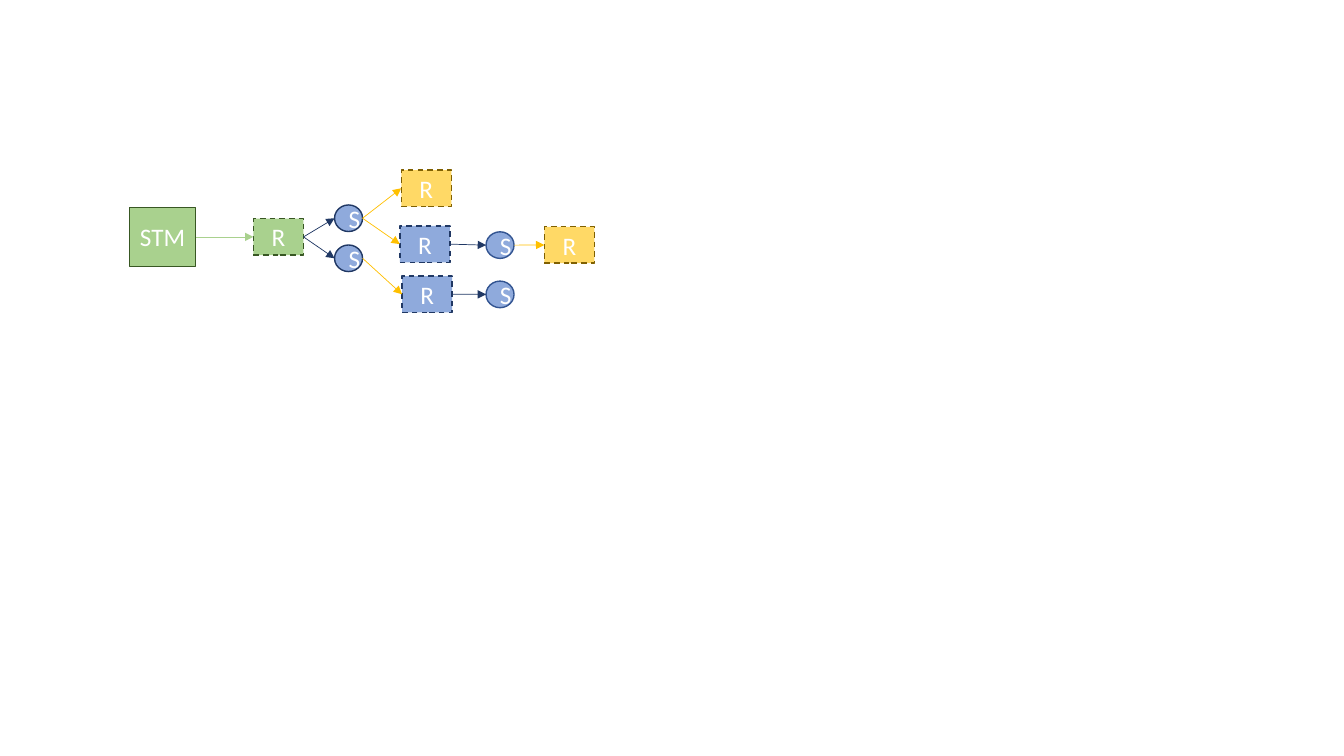
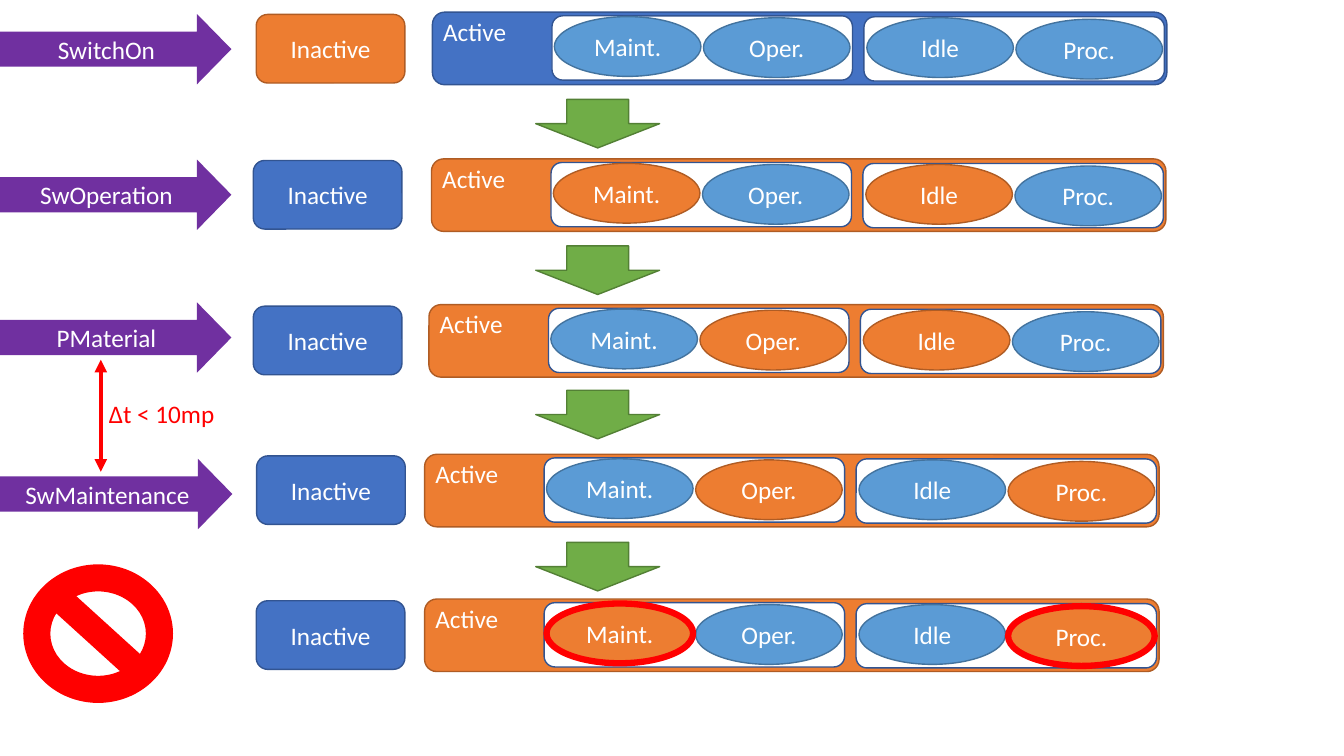
from lxml import etree
from pptx import Presentation
from pptx import util as u
from pptx.dml import color
from pptx.enum import dml, shapes, text
from pptx.oxml import ns

Pt = u.Pt
KIND = shapes.MSO_SHAPE
FONT = "Calibri"
HEX = {
    "white": "FFFFFF", "red": "FF0000", "purple": "7030A0",
    "blue": "4472C4", "navy": "325491", "sky": "5B9BD5", "steel": "43739E",
    "orange": "ED7D31", "rust": "AF5C24", "green": "70AD47", "moss": "538035",
    "mint": "A9D18E", "pine": "385723", "pale": "8FAADC", "ink": "203864",
    "sand": "FFD966", "olive": "806000", "gold": "FFC000",
}
EDGE = {"blue": "navy", "sky": "steel", "orange": "rust"}


def rgb(name):
    """Return the named colour."""
    return color.RGBColor.from_string(HEX[name])


def write(frame, words, tint="white", size=18, align="CENTER", anchor="MIDDLE", wrap=True):
    """Fill a text frame with one formatted paragraph."""
    frame.word_wrap = wrap
    frame.vertical_anchor = getattr(text.MSO_ANCHOR, anchor)
    para = frame.paragraphs[0]
    para.alignment = getattr(text.PP_ALIGN, align)
    run = para.add_run()
    run.text = words
    run.font.name, run.font.size = FONT, Pt(size)
    run.font.color.rgb = rgb(tint)


def draw(host, kind, box, fill, edge=None, words="", width=1, dash=False):
    """Add a preset shape with its fill, outline and words."""
    shape = host.add_shape(kind, *map(Pt, box))
    shape.shadow.inherit = False
    shape.fill.solid()
    shape.fill.fore_color.rgb = rgb(fill)
    if edge:
        shape.line.color.rgb = rgb(edge)
        shape.line.width = Pt(width)
        if dash:
            shape.line.dash_style = dml.MSO_LINE.DASH
    else:
        shape.line.fill.background()
    if words:
        write(shape.text_frame, words)
    return shape


def note(host, box, words, **style):
    """Add a text box that grows with its words."""
    frame = host.add_textbox(*map(Pt, box)).text_frame
    write(frame, words, align="LEFT", anchor="TOP", **style)
    frame.auto_size = text.MSO_AUTO_SIZE.SHAPE_TO_FIT_TEXT


def link(host, start, end, tint, width=0.5, ends=("tailEnd",)):
    """Add a straight arrow between two points."""
    line = host.add_connector(shapes.MSO_CONNECTOR.STRAIGHT, *map(Pt, (*start, *end)))
    line.line.color.rgb = rgb(tint)
    line.line.width = Pt(width)
    for tag in ends:
        etree.SubElement(line.line._get_or_add_ln(), ns.qn("a:" + tag), type="triangle")
    etree.SubElement(line._element.spPr, ns.qn("a:effectLst"))


LOOKS = {
    "root": (KIND.RECTANGLE, 47.5, 42, "mint", "pine", "STM", False),
    "first": (KIND.RECTANGLE, 35.8, 26, "mint", "pine", "R", True),
    "mid": (KIND.RECTANGLE, 35.8, 26, "pale", "ink", "R", True),
    "last": (KIND.RECTANGLE, 35.8, 26, "sand", "olive", "R", True),
    "state": (KIND.OVAL, 20, 19, "pale", "ink", "S", False),
    "leaf": (KIND.OVAL, 20, 19, "pale", "navy", "S", False),
}
NODES = {
    "stm": ("root", 0.4, 27.2), "r1": ("first", 89, 35.2),
    "s1": ("state", 147, 25.4), "s2": ("state", 147, 54),
    "r2": ("last", 194.6, 0.5), "r3": ("mid", 193.6, 40.4), "r4": ("mid", 195.2, 76.2),
    "s3": ("leaf", 255.2, 44.6), "s4": ("leaf", 255.2, 79.8), "r5": ("last", 296.8, 41),
}
LINKS = [
    ("mint", "stm r1"), ("ink", "r1 s1"), ("ink", "r1 s2"),
    ("ink", "r4 s4"), ("ink", "r3 s3"), ("gold", "s1 r2"),
    ("gold", "s1 r3"), ("gold", "s2 r4"), ("gold", "s3 r5"),
]


def tree(host, left, top):
    """Draw the tree of rules and states from its top left corner."""
    ports = {}
    for key, (look, x, y) in NODES.items():
        kind, wide, high, fill, edge, words, dash = LOOKS[look]
        x, y = left + x, top + y
        draw(host, kind, (x, y, wide, high), fill, edge, words, dash=dash)
        ports[key] = ((x, y + high / 2), (x + wide, y + high / 2))
    for tint, pair in LINKS:
        start, end = pair.split()
        link(host, ports[start][1], ports[end][0], tint)


FRAMES = [(85.4, 2.6), (308.2, 3.3)]
MODES = {"Oper.": (193.6, 4), "Maint.": (87.1, 3.2),
         "Idle": (310.3, 4), "Proc.": (416.8, 5.1)}


def active(host, left, top, lit, fault=False):
    """Draw the active state with its four modes, the lit ones orange."""
    group = host.add_group_shape().shapes
    fill = "orange" if lit else "blue"
    draw(group, KIND.ROUNDED_RECTANGLE, (left, top, 524.6, 51.8), fill, EDGE[fill])
    for x, y in FRAMES:
        draw(group, KIND.ROUNDED_RECTANGLE, (left + x, top + y, 214.6, 45.9), "white", "navy")
    for name, (x, y) in MODES.items():
        fill = "orange" if name in lit else "sky"
        bad = fault and name in lit
        draw(group, KIND.OVAL, (left + x, top + y, 104.7, 42.7), fill,
             "red" if bad else EDGE[fill], name, 4.5 if bad else 1)
    note(group, (left + 0.6, top - 0.6, 77, 29), "Active")


def idle(host, left, top, fill):
    """Draw the inactive state."""
    draw(host, KIND.ROUNDED_RECTANGLE, (left, top, 106.2, 49), fill, EDGE[fill], "Inactive")


def event(host, left, top, words):
    """Draw the arrow of an incoming event."""
    arrow = draw(host, KIND.RIGHT_ARROW, (left, top, 166.2, 50.2), "purple", words=words)
    arrow.adjustments[1] = 0.489


STEPS = [
    ("SwitchOn", (-0.9, 10), (183, 10.3), (308.9, 8.7), ()),
    ("SwOperation", (-0.9, 114), (180.9, 114.6), (308.2, 113.5), ("Maint.", "Idle")),
    ("PMaterial", (-0.9, 216), (180.9, 218.7), (306.4, 217.6), ("Oper.", "Idle")),
    ("SwMaintenance", (-0.2, 327.8), (183.3, 325.6), (303.3, 324.5), ("Oper.", "Proc.")),
    ("", None, (183, 429.1), (303.3, 427.9), ("Maint.", "Proc.")),
]
DROPS = [71, 175.7, 278.8, 387.4]


def trace(host):
    """Draw the event trace, one row for each step."""
    for words, spot, rest, work, lit in STEPS:
        if spot:
            event(host, *spot, words)
        idle(host, *rest, "orange" if not lit else "blue")
        active(host, *work, lit, fault=not words)
    for top in DROPS:
        draw(host, KIND.DOWN_ARROW, (382.7, top, 88.5, 34.7), "green", "moss")


def limit(host, left, top):
    """Draw the time limit and the sign that bars the last step."""
    link(host, (left, top + 80), (left, top), "red", 3, ("headEnd", "tailEnd"))
    note(host, (left - 1.3, top + 24, 90.8, 29), "Δt < 10mp", tint="red", wrap=False)
    draw(host, KIND.NO_SYMBOL, (left - 54.9, top + 146.6, 106, 98), "red", "red")


deck = Presentation()
deck.slide_width, deck.slide_height = Pt(960), Pt(540)
blank = deck.slide_layouts[6]
tree(deck.slides.add_slide(blank).shapes, 92, 121)
board = deck.slides.add_slide(blank).shapes
trace(board)
limit(board, 72, 257)
deck.save("out.pptx")
